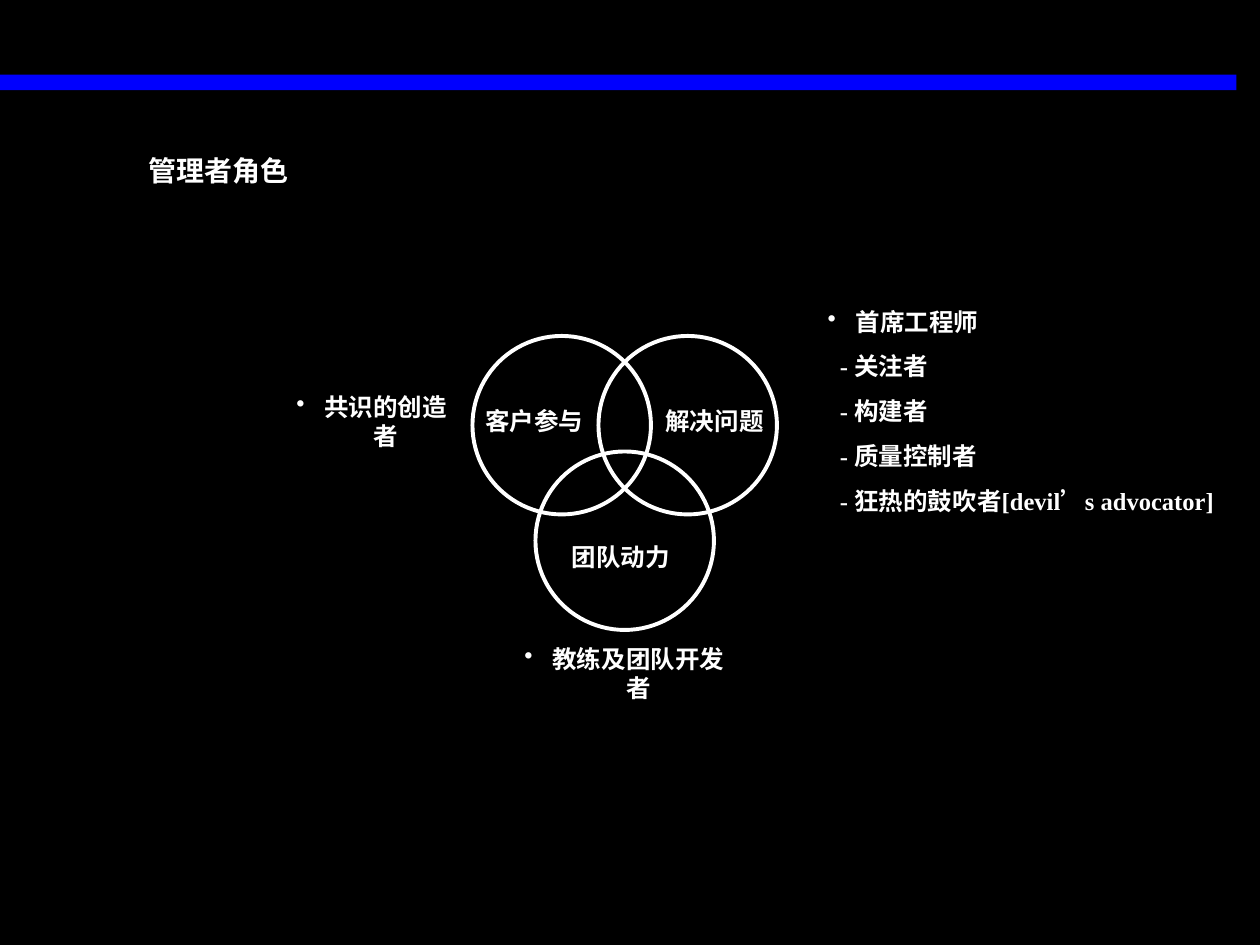
from lxml.etree import SubElement
from pptx import Presentation
from pptx.dml.color import RGBColor
from pptx.enum.shapes import MSO_SHAPE
from pptx.enum.text import MSO_ANCHOR, PP_ALIGN
from pptx.oxml.ns import qn
from pptx.util import Pt

COLORS = {"background": "000000", "bar": "0000FE", "white": "FFFFFF"}
FONT = "Times New Roman"
BULLET_INDENT = 16
DASH_INDENT = 7


def color(name):
    return RGBColor.from_string(COLORS[name])


def indent_paragraph(paragraph, margin, bullet=None):
    properties = paragraph._p.get_or_add_pPr()
    properties.set("marL", str(Pt(margin)))
    if bullet:
        properties.set("indent", str(-Pt(margin)))
        bullet_color = SubElement(properties, qn("a:buClr"))
        SubElement(bullet_color, qn("a:srgbClr"), val=COLORS["white"])
        SubElement(properties, qn("a:buChar"), char=bullet)


def add_text(slide, box, lines, size=14, align=PP_ALIGN.CENTER,
             anchor=MSO_ANCHOR.MIDDLE, wrap=False, bulleted=False):
    """Place bold white lines; when bulleted, the first is the bullet and the rest are dashes."""
    text_frame = slide.shapes.add_textbox(*map(Pt, box)).text_frame
    text_frame.text = "\n".join(lines)
    text_frame.word_wrap = wrap
    text_frame.vertical_anchor = anchor
    for index, paragraph in enumerate(text_frame.paragraphs):
        if bulleted and index == 0:
            indent_paragraph(paragraph, BULLET_INDENT, "•")
        elif bulleted:
            indent_paragraph(paragraph, DASH_INDENT)
        paragraph.alignment = align
        paragraph.space_before = Pt(8.8 if index else 0)
        font = paragraph.runs[0].font
        font.name, font.size, font.bold = FONT, Pt(size), True
        font.color.rgb = color("white")


def add_header(slide, left, top, width):
    # Bar and the title below it
    bar = slide.shapes.add_shape(MSO_SHAPE.RECTANGLE, Pt(left), Pt(top), Pt(width), Pt(8.9))
    bar.shadow.inherit = False
    bar.fill.solid()
    bar.fill.fore_color.rgb = color("bar")
    bar.line.fill.background()
    add_text(slide, (left + 77.8, top + 41.6, 366, 27), ["管理者角色"], size=16,
             align=PP_ALIGN.LEFT, anchor=MSO_ANCHOR.TOP, wrap=True)


def add_venn(slide, left, top, diameter=102, step=72, drop=66):
    # Three overlapping circles: two above, one centred below
    offsets = [(0, 0), (step, 0), (step / 2, drop)]
    for x, y in offsets:
        circle = slide.shapes.add_shape(MSO_SHAPE.OVAL, Pt(left + x), Pt(top + y),
                                        Pt(diameter), Pt(diameter))
        circle.shadow.inherit = False
        circle.fill.background()
        circle.line.color.rgb = color("white")
        circle.line.width = Pt(2.25)
    # Labels sit clear of the overlaps
    labels = [("客户参与", 0, 36), ("解决问题", 103, 36), ("团队动力", 49.5, 114)]
    for text, x, y in labels:
        add_text(slide, (left + x, top + y, 70.6, 24.5), [text])


def add_roles(slide, left, top):
    # Manager roles around the circles
    add_text(slide, (left, top + 57, 103.7, 24.5), ["共识的创造者"],
             wrap=True, bulleted=True)
    add_text(slide, (left + 130.5, top + 201, 131.5, 24.5), ["教练及团队开发者"],
             wrap=True, bulleted=True)
    add_text(slide, (left + 305.3, top, 248.4, 126.7),
             ["首席工程师", "- 关注者", "- 构建者", "- 质量控制者",
              "- 狂热的鼓吹者[devil’s advocator]"],
             align=PP_ALIGN.LEFT, bulleted=True)


def main():
    presentation = Presentation()
    presentation.slide_width, presentation.slide_height = Pt(720), Pt(540)
    slide = presentation.slides.add_slide(presentation.slide_layouts[6])
    slide.background.fill.solid()
    slide.background.fill.fore_color.rgb = color("background")
    add_header(slide, 0, 42.7, 706.5)
    add_venn(slide, 270, 192)
    add_roles(slide, 160.6, 171.4)
    presentation.save("out.pptx")


if __name__ == "__main__":
    main()
